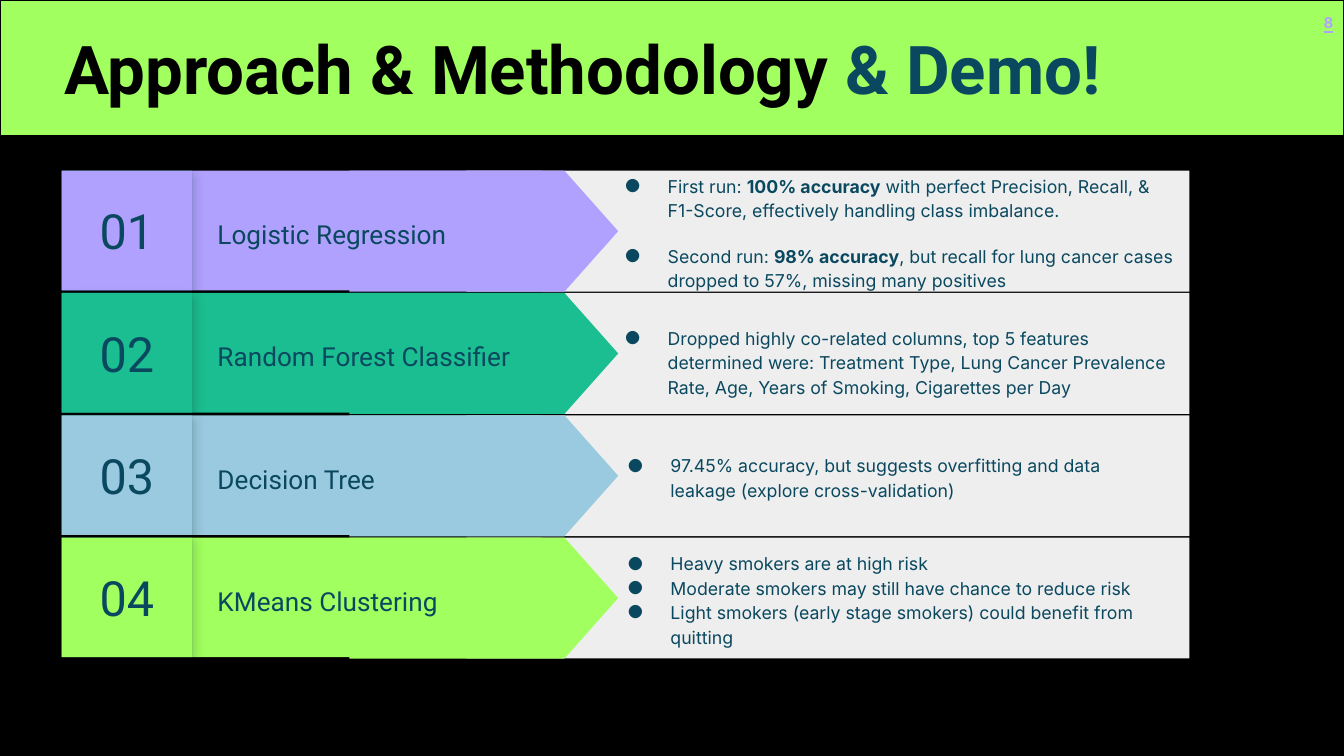
from lxml.etree import SubElement
from pptx import Presentation
from pptx.dml.color import RGBColor
from pptx.enum.shapes import MSO_SHAPE
from pptx.enum.text import MSO_ANCHOR, PP_ALIGN
from pptx.oxml.ns import qn
from pptx.util import Inches, Pt

# Content
WIDE = 10
HIGH = WIDE * 9 / 16
BLACK, LIME, INK, GREY, LILAC = "000000", "A1FF5F", "0A485F", "EEEEEE", "B1A1FF"
TITLE = [("Approach & Methodology ", {}), ("& Demo!", {"color": INK})]
BOLD = {"bold": True}

# name, colour, panel left, note box (left, drop from row top, width), notes
ROWS = [
    ("Logistic Regression", LILAC, 3.47, (4.37, 0.01, 4.47), [
        [("First run: ", {}), ("100% accuracy", BOLD),
         (" with perfect Precision, Recall, & F1-Score, "
          "effectively handling class imbalance.", {})],
        [("Second run: ", {}), ("98% accuracy", BOLD),
         (", but recall for lung cancer cases dropped to 57%, "
          "missing many positives", {})]]),
    ("Random Forest Classifier", "1BBE90", 4.03, (4.37, 0.06, 4.47), [
        [("Dropped highly co-related columns, top 5 features determined were: "
          "Treatment Type, Lung Cancer Prevalence Rate, Age, Years of Smoking, "
          "Cigarettes per Day", {})]]),
    ("Decision Tree", "9ACAE0", 3.47, (4.39, 0.01, 4.18), [
        [("97.45% accuracy, but suggests overfitting and data leakage "
          "(explore cross-validation)", {})]]),
    ("KMeans Clustering", LIME, 3.47, (4.39, 0.01, 4.38), [
        [("Heavy smokers are at high risk", {})],
        [("Moderate smokers may still have chance to reduce risk", {})],
        [("Light smokers (early stage smokers) could benefit from quitting", {})]]),
]

# Formats
HEAD = {"size": Pt(36), "name": "Roboto", "bold": True, "color": BLACK}
NUM = {"size": Pt(26), "name": "Roboto", "color": INK}
NAME = {"size": Pt(14), "name": "Roboto", "color": INK}
NOTE = {"size": Pt(9.5), "name": "Inter", "color": INK}
PAGE = {"size": Pt(8), "name": "Inter", "bold": True, "underline": True,
        "color": LILAC}
LOOSE = {"line_spacing": 1.15}

# Grid
TOP, STEP, TALL = 1.27, 0.91, 0.89
LEFT, MID, TAIL, END = 0.46, 1.43, 4.03, 8.85

deck = Presentation()
deck.slide_width, deck.slide_height = Inches(WIDE), Inches(HIGH)
slide = deck.slides.add_slide(deck.slide_layouts[6])


def paint(target, color):
    target.solid()
    target.fore_color.rgb = RGBColor.from_string(color)


paint(slide.background.fill, BLACK)


def block(kind, box, color, line=None):
    shape = slide.shapes.add_shape(kind, *map(Inches, box))
    shape.shadow.inherit = False
    paint(shape.fill, color)
    if line:
        paint(shape.line.fill, line)
        shape.line.width = Pt(0.75)
    else:
        shape.line.fill.background()
    return shape


def shade(shape):
    """Soft shadow toward the lower right."""
    glow = SubElement(shape._element.spPr.find(qn("a:effectLst")),
                      qn("a:outerShdw"), blurRad=str(Pt(5.6)),
                      dist=str(Pt(2.2)), dir="2700000", rotWithShape="0")
    tint = SubElement(glow, qn("a:srgbClr"), val=BLACK)
    SubElement(tint, qn("a:alpha"), val="17000")


def bullet(para):
    props = para._p.get_or_add_pPr()
    props.set("marL", str(Inches(0.5)))
    props.set("indent", str(Inches(-0.32)))
    hue = SubElement(props, qn("a:buClr"))
    SubElement(hue, qn("a:srgbClr"), val=INK)
    SubElement(props, qn("a:buSzPts"), val="950")
    SubElement(props, qn("a:buFont"), typeface="Inter")
    SubElement(props, qn("a:buChar"), char="●")


def write(shape, paras, font, form={}, anchor=MSO_ANCHOR.MIDDLE, dots=False):
    frame = shape.text_frame
    look = {"word_wrap": True, "vertical_anchor": anchor}
    for side in ("left", "right", "top", "bottom"):
        look["margin_" + side] = Inches(0.1)
    for key, value in look.items():
        setattr(frame, key, value)
    for i, runs in enumerate(paras):
        para = frame.add_paragraph() if i else frame.paragraphs[0]
        if dots:
            bullet(para)
        for key, value in form.items():
            setattr(para, key, value)
        for text, extra in runs:
            run = para.add_run()
            run.text = text
            for key, value in {**font, **extra}.items():
                if key == "color":
                    paint(run.font.fill, value)
                else:
                    setattr(run.font, key, value)


def label(box, *args, **more):
    shape = slide.shapes.add_textbox(*map(Inches, box))
    write(shape, *args, **more)
    return shape


# Title band
block(MSO_SHAPE.RECTANGLE, (0, 0, WIDE, 1.01), LIME, BLACK)
label((0.38, 0.1, 9.72, 0.5), [TITLE], HEAD, anchor=MSO_ANCHOR.TOP)

# Method rows
for i, (name, color, start, (left, drop, width), notes) in enumerate(ROWS):
    top = TOP + i * STEP
    block(MSO_SHAPE.RECTANGLE, (start, top, END - start, 0.9), GREY)
    block(MSO_SHAPE.RECTANGLE, (MID, top, TAIL - MID, TALL), color)
    arrow = block(MSO_SHAPE.FLOWCHART_OFFPAGE_CONNECTOR,
                  (3.15, top - 0.55, 0.9, 2), color)
    arrow.rotation = 270
    label((1.52, top + 0.11, 2.73, 0.69), [[(name, {})]], NAME, LOOSE)

    cell = (LEFT, top, MID - LEFT, TALL)
    shade(block(MSO_SHAPE.RECTANGLE, cell, "1D7E75"))
    write(block(MSO_SHAPE.RECTANGLE, cell, color),
          [[(f"{i + 1:02}", {})]], NUM, {"alignment": PP_ALIGN.CENTER})

    text = label((left, top + drop, width, TALL), notes, NOTE, LOOSE, dots=True)
    if i == 0:
        text.text_frame.paragraphs[1].space_before = Pt(11.5)

# Page number
label((9.75, 0.05, 0.23, 0.24), [[("8", {})]], PAGE)

deck.save("out.pptx")
